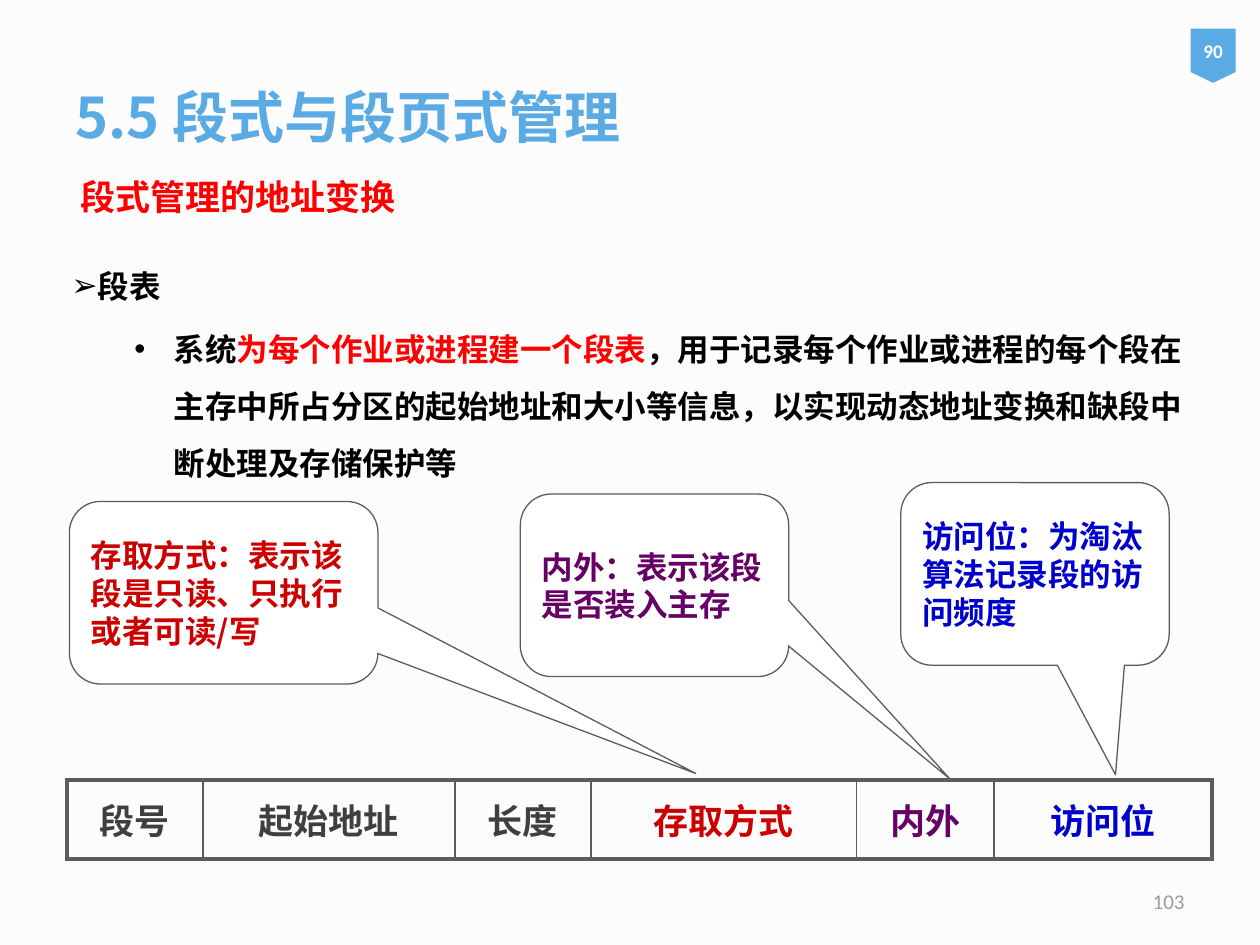
from pptx import Presentation
from pptx.util import Cm, Pt
from pptx.dml.color import RGBColor
from pptx.enum.shapes import MSO_SHAPE as SHAPE
from pptx.enum.text import MSO_ANCHOR as ANCHOR, PP_ALIGN as ALIGN
from lxml.etree import SubElement
from pptx.oxml.ns import qn

CJK = "Noto Sans CJK SC"
BLUE, RED, GRAY = "5AAAE4", "FF0000", "5C5C5C"
CRIMSON, PURPLE, NAVY = "CC0000", "660066", "0000CC"


def rgb(value):
    return RGBColor.from_string(value)


def add_run(paragraph, text, size, color, font=CJK, bold=True):
    run = paragraph.add_run()
    run.text = text
    run.font.size, run.font.bold, run.font.name = Pt(size), bold, font
    run.font.color.rgb = rgb(color)
    east_asian = CJK if font == "Arial" else font
    SubElement(run.font._element, qn("a:ea"), typeface=east_asian)


deck = Presentation()
deck.slide_width, deck.slide_height = Cm(25.4), Cm(19.05)
slide = deck.slides.add_slide(deck.slide_layouts[6])
slide.background.fill.solid()
slide.background.fill.fore_color.rgb = rgb("FCFCFC")
shapes = slide.shapes

# Title, subtitle and slide number
for left, top, width, height, text, size, color, font, anchor, align, spacing in [
    (1.27, 0.76, 22.86, 3.18, "5.5 段式与段页式管理", 32, BLUE, CJK, ANCHOR.MIDDLE, ALIGN.LEFT, 1),
    (1.37, 3, 22.2, 1.9, "段式管理的地址变换", 20, RED, CJK, ANCHOR.TOP, ALIGN.LEFT, 1.5),
    (18.21, 17.65, 5.92, 1.02, "103", 12, "9C9C9C", "Calibri", ANCHOR.MIDDLE, ALIGN.RIGHT, 1),
]:
    frame = shapes.add_textbox(Cm(left), Cm(top), Cm(width), Cm(height)).text_frame
    frame.word_wrap, frame.vertical_anchor = True, anchor
    line = frame.paragraphs[0]
    line.alignment, line.line_spacing = align, spacing
    add_run(line, text, size, color, font, bold=font == CJK)

# Page badge
badge = shapes.add_shape(SHAPE.FLOWCHART_OFFPAGE_CONNECTOR, Cm(24), Cm(0.58), Cm(0.91), Cm(1.09))
badge.shadow.inherit = False
badge.fill.solid()
badge.fill.fore_color.rgb = rgb(BLUE)
badge.line.fill.background()
frame = badge.text_frame
frame.margin_left = frame.margin_right = frame.margin_top = frame.margin_bottom = 0
frame.vertical_anchor = ANCHOR.MIDDLE
frame.paragraphs[0].alignment = ALIGN.CENTER
add_run(frame.paragraphs[0], "90", 11, "FFFFFF", "Calibri")

# Segment table explanation
body = shapes.add_textbox(Cm(1.19), Cm(4.88), Cm(23.01), Cm(7.06)).text_frame
body.word_wrap = True
for level, (bullet, margin, indent, runs) in enumerate([
    ("➢", 0, -0.95, [("段表", "000000")]),
    ("•", 2.06, -0.79, [
        ("系统", "000000"),
        ("为每个作业或进程建一个段表", RED),
        ("，用于记录每个作业或进程的每个段在主存中所占分区的起始地址和大小等信息，"
         "以实现动态地址变换和缺段中断处理及存储保护等", "000000"),
    ]),
]):
    item = body.add_paragraph() if level else body.paragraphs[0]
    props = item._p.get_or_add_pPr()
    props.set("marL", str(Cm(margin)))
    props.set("indent", str(Cm(indent)))
    SubElement(props, qn("a:buFont"), typeface="Arial")
    SubElement(props, qn("a:buChar"), char=bullet)
    item.level, item.line_spacing = level, 1.5
    if level:
        item.space_before = Pt(3.6)
    for text, color in runs:
        add_run(item, text, 18, color)

# Segment table entry
fields = [("段号", 2.74, "3F3F3F"), ("起始地址", 5.08, "3F3F3F"), ("长度", 2.74, "3F3F3F"),
          ("存取方式", 5.36, CRIMSON), ("内外", 2.77, PURPLE), ("访问位", 4.39, NAVY)]
entry = shapes.add_table(1, len(fields), Cm(1.35), Cm(15.72),
                         Cm(sum(field[1] for field in fields)), Cm(1.6)).table
entry.first_row = entry.horz_banding = False
for col, (name, width, color) in enumerate(fields):
    entry.columns[col].width = Cm(width)
    cell = entry.cell(0, col)
    cell.vertical_anchor = ANCHOR.MIDDLE
    cell.text_frame.paragraphs[0].alignment = ALIGN.CENTER
    add_run(cell.text_frame.paragraphs[0], name, 20, color)
    props = cell._tc.get_or_add_tcPr()
    for side, outer in [("L", col == 0), ("R", col == len(fields) - 1), ("T", True), ("B", True)]:
        border = SubElement(props, qn(f"a:ln{side}"), w=str(Pt(2.25 if outer else 1)))
        SubElement(SubElement(border, qn("a:solidFill")), qn("a:srgbClr"), val=GRAY)
    cell.fill.background()

# Callouts pointing at the entry fields
for left, top, width, tip, color, runs in [
    (1.4, 10.11, 6.22, (1.53, 0.99), CRIMSON,
     [("存取方式：表示该段是只读、只执行或者可读/写", CJK)]),
    (10.49, 9.96, 5.41, (1.1, 1.06), PURPLE,
     [("内外：", CJK), ("表示该段是否装入主存", "Arial")]),
    (18.16, 9.73, 5.41, (0.3, 1.1), NAVY,
     [("访问位：为淘汰算法记录段的访问频度", "Arial")]),
]:
    callout = shapes.add_shape(SHAPE.ROUNDED_RECTANGULAR_CALLOUT,
                               Cm(left), Cm(top), Cm(width), Cm(3.68))
    callout.shadow.inherit = False
    callout.adjustments[0], callout.adjustments[1] = tip
    callout.adjustments[2] = 0.17
    callout.fill.solid()
    callout.fill.fore_color.rgb = rgb("FFFFFF")
    callout.line.color.rgb = rgb(GRAY)
    callout.line.width = Pt(0.75)
    frame = callout.text_frame
    frame.word_wrap, frame.vertical_anchor = True, ANCHOR.MIDDLE
    frame.paragraphs[0].alignment = ALIGN.LEFT
    for text, font in runs:
        add_run(frame.paragraphs[0], text, 18, color, font)

deck.save("out.pptx")
